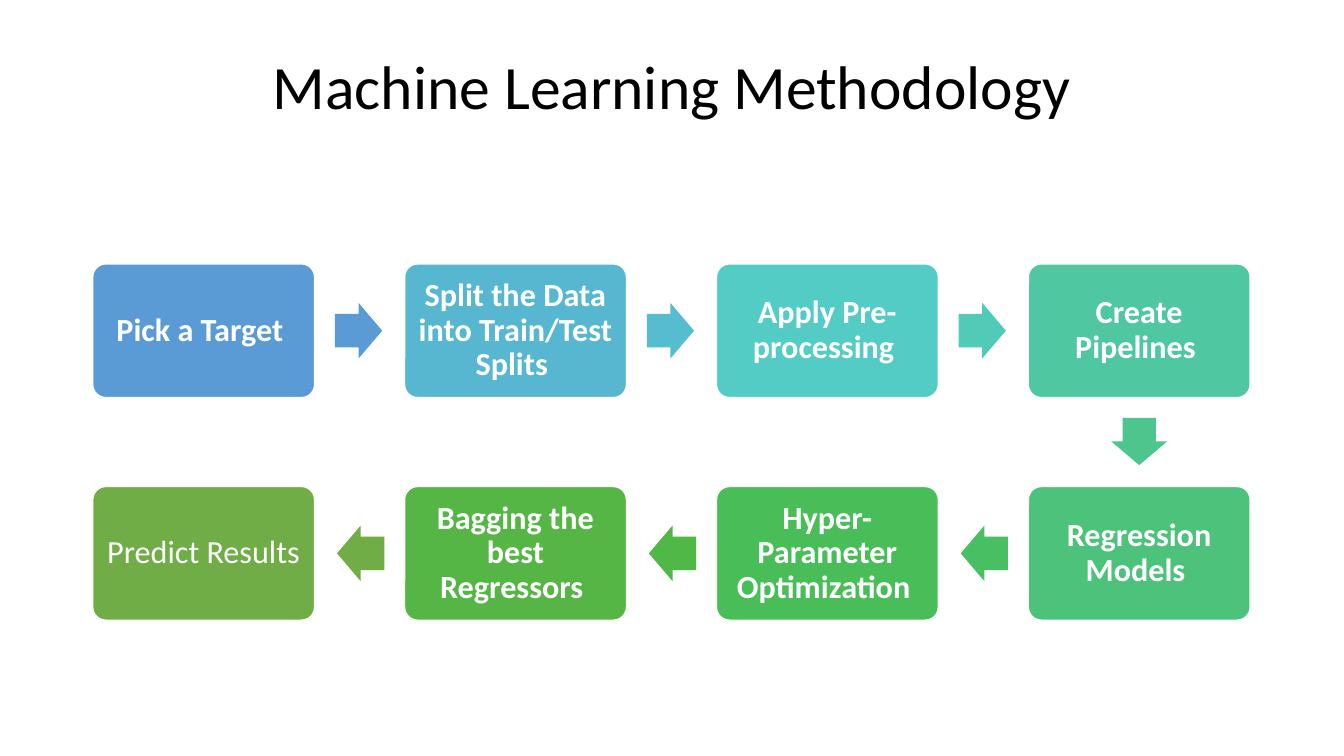
from itertools import pairwise

from pptx import Presentation
from pptx import util as u
from pptx.dml.color import RGBColor
from pptx.enum import shapes, text

PX = 9525
COLORS = {"paper": "FFFFFF", "title": "000000", "label": "FFFFFF", "edge": "FFFFFF"}
STEPS = [
    ("Pick a Target ", "5B9BD5", True),
    ("Split the Data into Train/Test Splits ", "57B7D1", True),
    ("Apply Pre-processing ", "53CCC5", True),
    ("Create Pipelines ", "4FC7A0", True),
    ("Regression Models ", "4CC27B", True),
    ("Hyper-Parameter Optimization ", "48BD58", True),
    ("Bagging the best Regressors ", "55B646", True),
    ("Predict Results", "70AD47", False),
]
ARROW_COLORS = ["5B9BD5", "56BCD0", "52CAB8", "4DC58D", "49BF64", "50B846", "70AD47"]
COLUMNS, STEP_W, STEP_H = 4, 212, 128
ARROW_W, ARROW_H, GAP = 45, 53, 19


def px(*lengths):
    """Turn pixel lengths into EMU."""
    return [u.Emu(round(n * PX)) for n in lengths]


def rgb(value):
    """Turn a hex string into a colour."""
    return RGBColor.from_string(value)


def write(sp, words, color, inset, **fmt):
    """Write one centred, wrapped paragraph into a shape."""
    tf = sp.text_frame
    side = px(inset)[0]
    frame = dict(word_wrap=True, auto_size=text.MSO_AUTO_SIZE.NONE,
                 vertical_anchor=text.MSO_ANCHOR.MIDDLE, margin_left=side,
                 margin_right=side, margin_top=side, margin_bottom=side)
    for name, value in frame.items():
        setattr(tf, name, value)
    p = tf.paragraphs[0]
    p.alignment, p.line_spacing = text.PP_ALIGN.CENTER, 0.9
    r = p.add_run()
    r.text = words
    for name, value in dict(name="Calibri", **fmt).items():
        setattr(r.font, name, value)
    r.font.color.rgb = rgb(color)


def add_filled(s, kind, box, fill, adjustments):
    """Add a flat shape with a solid fill."""
    sp = s.shapes.add_shape(kind, *px(*box))
    sp.shadow.inherit = False
    sp.fill.solid()
    sp.fill.fore_color.rgb = rgb(fill)
    for i, value in enumerate(adjustments):
        sp.adjustments[i] = value
    return sp


def add_title(s, box):
    """Place the heading in its box."""
    sp = s.shapes.add_textbox(*px(*box))
    write(sp, "Machine Learning Methodology", COLORS["title"], 9, size=u.Pt(44))


def add_step(s, box, words, fill, bold):
    """Place one rounded step with its label."""
    sp = add_filled(s, shapes.MSO_SHAPE.ROUNDED_RECTANGLE, box, fill, [0.1])
    sp.line.color.rgb = rgb(COLORS["edge"])
    sp.line.width = u.Pt(1.5)
    write(sp, words, COLORS["label"], 9, size=u.Pt(23), bold=bold)


def add_arrow(s, start, end, fill):
    """Place an arrow beside the start step, pointing to the end step."""
    x, y, w, h = start
    dx = (end[0] > x) - (end[0] < x)
    dy = (end[1] > y) - (end[1] < y)
    reach = GAP + ARROW_W / 2
    cx = x + w / 2 + dx * (w / 2 + reach)
    cy = y + h / 2 + dy * (h / 2 + reach)
    box = cx - ARROW_W / 2, cy - ARROW_H / 2, ARROW_W, ARROW_H
    sp = add_filled(s, shapes.MSO_SHAPE.RIGHT_ARROW, box, fill, [0.6, 0.5])
    sp.line.fill.background()
    sp.rotation = 90 if dy else 180 if dx < 0 else 0


def add_flow(s, box):
    """Lay the steps out in a snake of two rows inside the box."""
    x, y, w, h = box
    boxes = []
    for i in range(len(STEPS)):
        row, col = divmod(i, COLUMNS)
        col = COLUMNS - 1 - col if row % 2 else col
        boxes.append((x + col * (w - STEP_W) / (COLUMNS - 1),
                      y + row * (h - STEP_H), STEP_W, STEP_H))
    for place, step in zip(boxes, STEPS):
        add_step(s, place, *step)
    for (start, end), fill in zip(pairwise(boxes), ARROW_COLORS):
        add_arrow(s, start, end, fill)


def main():
    """Build and save the slide."""
    prs = Presentation()
    prs.slide_width, prs.slide_height = px(1280, 720)
    s = prs.slides.add_slide(prs.slide_layouts[6])
    s.background.fill.solid()
    s.background.fill.fore_color.rgb = rgb(COLORS["paper"])
    add_title(s, (88, 38, 1104, 94))
    add_flow(s, (88, 251, 1103, 340))
    prs.save("out.pptx")


if __name__ == "__main__":
    main()
